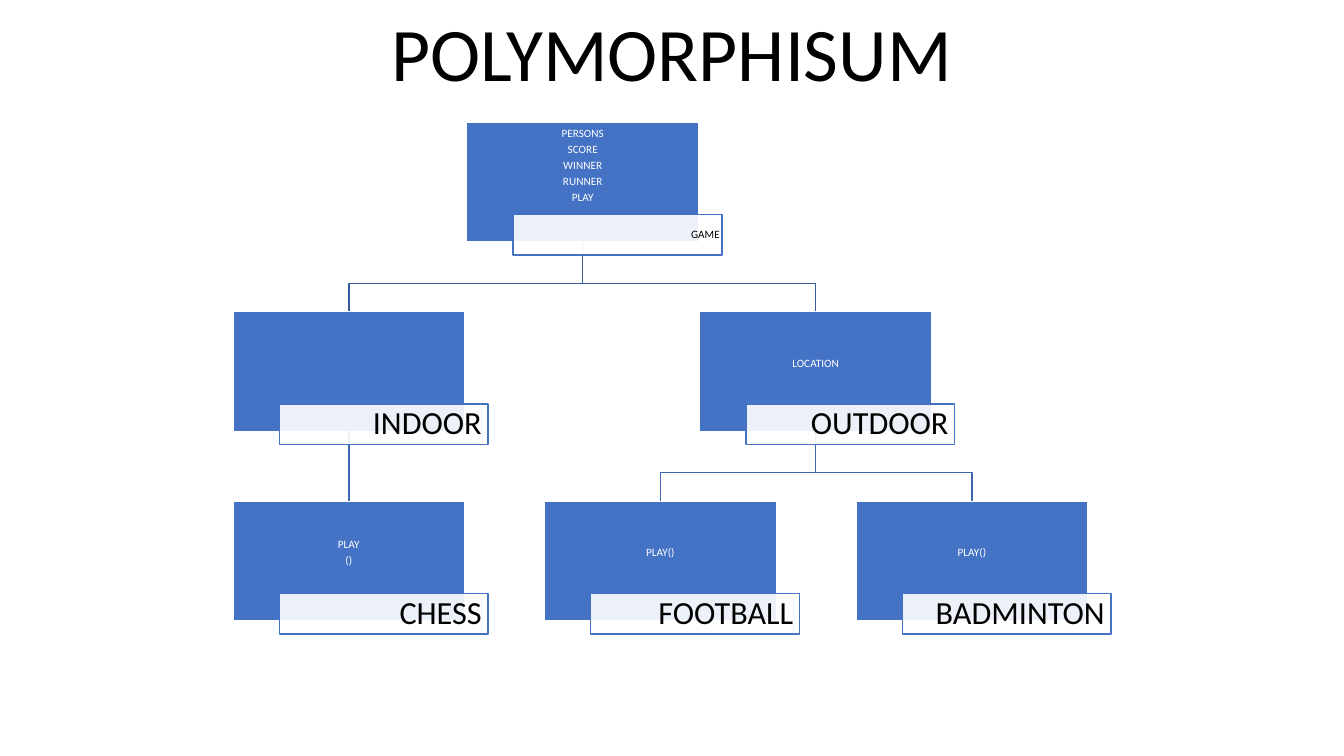
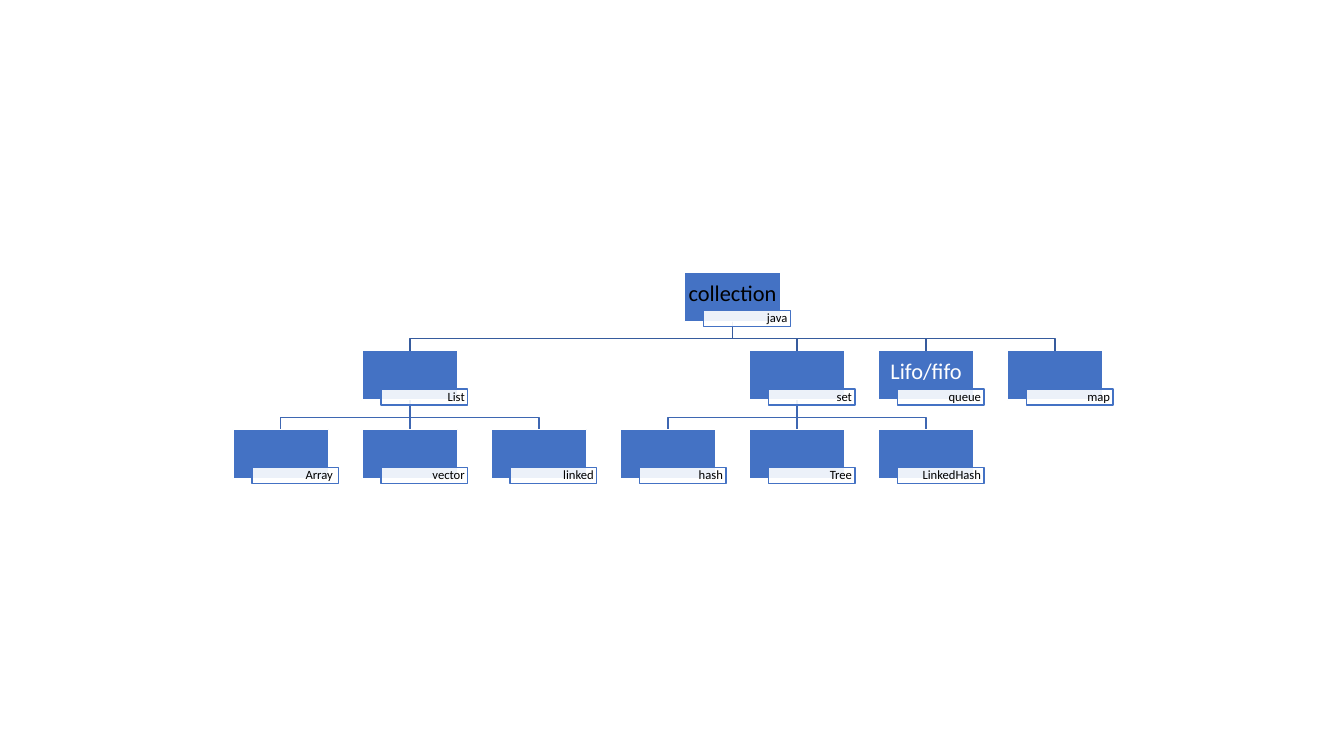
from dataclasses import dataclass

from lxml.etree import SubElement
from pptx import Presentation
from pptx.dml.color import RGBColor
from pptx.enum.shapes import MSO_CONNECTOR, MSO_SHAPE
from pptx.enum.text import MSO_ANCHOR, MSO_AUTO_SIZE, PP_ALIGN
from pptx.oxml.ns import qn
from pptx.util import Pt

PX = 9144
FONT = "Calibri"
BLUE = RGBColor(0x44, 0x72, 0xC4)
WHITE = RGBColor(0xFF, 0xFF, 0xFF)
BLACK = RGBColor(0x00, 0x00, 0x00)
LINK_COLORS = (RGBColor(0x36, 0x5B, 0x9D), RGBColor(0x3E, 0x67, 0xB2))
LABEL_INSETS = {8: (2, 1), 9: (3, 1), 23: (6, 2)}
TITLE_LAYOUT, BLANK_LAYOUT = 5, 6


@dataclass
class Node:
    label: str
    lines: tuple = ()
    column: int = 0
    children: tuple = ()
    label_size: int = 0
    extra_bottom: int = 0
    color: RGBColor = WHITE


GAME_TREE = Node(
    "GAME", ("PERSONS", "SCORE", "WINNER", "RUNNER", "PLAY"),
    label_size=8, extra_bottom=16,
    children=(
        Node("INDOOR", children=(Node("CHESS", ("PLAY", "()"), 0),)),
        Node("OUTDOOR", ("LOCATION",), children=(
            Node("FOOTBALL", ("PLAY()",), 1),
            Node("BADMINTON", ("PLAY()",), 2),
        )),
    ),
)

COLLECTION_TREE = Node(
    "java", ("collection",), color=BLACK,
    children=(
        Node("List", children=(
            Node("Array ", column=0),
            Node("vector", column=1),
            Node("linked", column=2),
        )),
        Node("set", children=(
            Node("hash", column=3),
            Node("Tree", column=4),
            Node("LinkedHash", column=5),
        )),
        Node("queue", ("Lifo/fifo",), 5),
        Node("map", column=6),
    ),
)

PAGES = (
    {
        "title": "POLYMORPHISUM", "tree": GAME_TREE,
        "origin": (231, 121), "pitch": (309, 188), "box": (230, 119),
        "label_offset": (46, 92), "label": (207, 40), "drop": 41,
        "body_size": 8, "label_size": 23, "body_bottom": 17,
    },
    {
        "title": None, "tree": COLLECTION_TREE,
        "origin": (231, 270), "pitch": (128, 78), "box": (95, 49),
        "label_offset": (19, 38), "label": (86, 16), "drop": 17,
        "body_size": 16, "label_size": 9, "body_bottom": 7,
    },
)


def column_of(node):
    if not node.children:
        return node.column
    return (column_of(node.children[0]) + column_of(node.children[-1])) / 2


def walk(node, level=0):
    yield node, level
    for child in node.children:
        yield from walk(child, level + 1)


def apply(target, values):
    for name, value in values.items():
        setattr(target, name, value)


def place(shape, left, top, width, height):
    apply(shape, {"left": left * PX, "top": top * PX,
                  "width": width * PX, "height": height * PX})


def write(frame, lines, size, color, align, insets, spacing):
    sides = ("margin_left", "margin_top", "margin_right", "margin_bottom")
    apply(frame, {side: inset * PX for side, inset in zip(sides, insets)})
    apply(frame, {"word_wrap": True, "vertical_anchor": MSO_ANCHOR.MIDDLE,
                  "auto_size": MSO_AUTO_SIZE.NONE})
    for index, line in enumerate(lines):
        para = frame.add_paragraph() if index else frame.paragraphs[0]
        apply(para, {"alignment": align, **spacing})
        span = para.add_run()
        span.text = line
        apply(span.font, {"size": Pt(size), "name": FONT})
        span.font.color.rgb = color


def tree_spacing(size):
    return {"line_spacing": 0.9, "space_after": Pt(0.35 * size)}


def add_box(page, bounds, fill, border):
    box = page.shapes.add_shape(
        MSO_SHAPE.RECTANGLE, *(length * PX for length in bounds))
    box.shadow.inherit = False
    box.fill.solid()
    box.fill.fore_color.rgb = fill
    draw_line(box, border)
    return box


def draw_line(shape, color):
    shape.line.color.rgb = color
    shape.line.width = Pt(1)


def add_link(page, parent, child, drop, color):
    start_x, end_x = (box.left + box.width // 2 for box in (parent, child))
    start_y, end_y = parent.top + parent.height, child.top
    if start_x == end_x:
        link = page.shapes.add_connector(
            MSO_CONNECTOR.STRAIGHT, start_x, start_y, end_x, end_y)
        link.begin_connect(parent, 2)
        link.end_connect(child, 0)
        SubElement(link.element.spPr, qn("a:effectLst"))
    else:
        turn_y = start_y + drop * PX
        builder = page.shapes.build_freeform(start_x, start_y)
        builder.add_line_segments(
            [(start_x, turn_y), (end_x, turn_y), (end_x, end_y)], close=False)
        link = builder.convert_to_shape()
        link.fill.background()
        link.shadow.inherit = False
    draw_line(link, color)


def add_tree(page, layout):
    nodes = list(walk(layout["tree"]))
    boxes = {}
    (left, top), (step_x, step_y) = layout["origin"], layout["pitch"]
    for node, level in nodes:
        corner = (round(left + column_of(node) * step_x), top + level * step_y)
        box = add_box(page, corner + layout["box"], BLUE, WHITE)
        insets = (1, 1, 1, layout["body_bottom"] + node.extra_bottom)
        size = layout["body_size"]
        write(box.text_frame, node.lines, size, node.color, PP_ALIGN.CENTER,
              insets, tree_spacing(size))
        boxes[id(node)] = box, corner
    for node, level in nodes:
        for child in node.children:
            add_link(page, boxes[id(node)][0], boxes[id(child)][0],
                     layout["drop"], LINK_COLORS[level])
    for node, level in nodes:
        corner = boxes[id(node)][1]
        spot = tuple(a + b for a, b in zip(corner, layout["label_offset"]))
        label = add_box(page, spot + layout["label"], WHITE, BLUE)
        tint = label.element.spPr.find(qn("a:solidFill")).find(qn("a:srgbClr"))
        SubElement(tint, qn("a:alpha"), val="90000")
        size = node.label_size or layout["label_size"]
        write(label.text_frame, (node.label,), size, BLACK, PP_ALIGN.RIGHT,
              LABEL_INSETS[size] * 2, tree_spacing(size))


def main():
    deck = Presentation()
    apply(deck, {"slide_width": 1333 * PX, "slide_height": 750 * PX})
    for layout in PAGES:
        number = TITLE_LAYOUT if layout["title"] else BLANK_LAYOUT
        page = deck.slides.add_slide(deck.slide_layouts[number])
        if layout["title"]:
            title = page.shapes.title
            place(title, 376, 0, 581, 101)
            write(title.text_frame, (layout["title"],), 54, BLACK,
                  PP_ALIGN.CENTER, (10, 5, 10, 5), {})
        add_tree(page, layout)
    deck.save("out.pptx")


if __name__ == "__main__":
    main()
